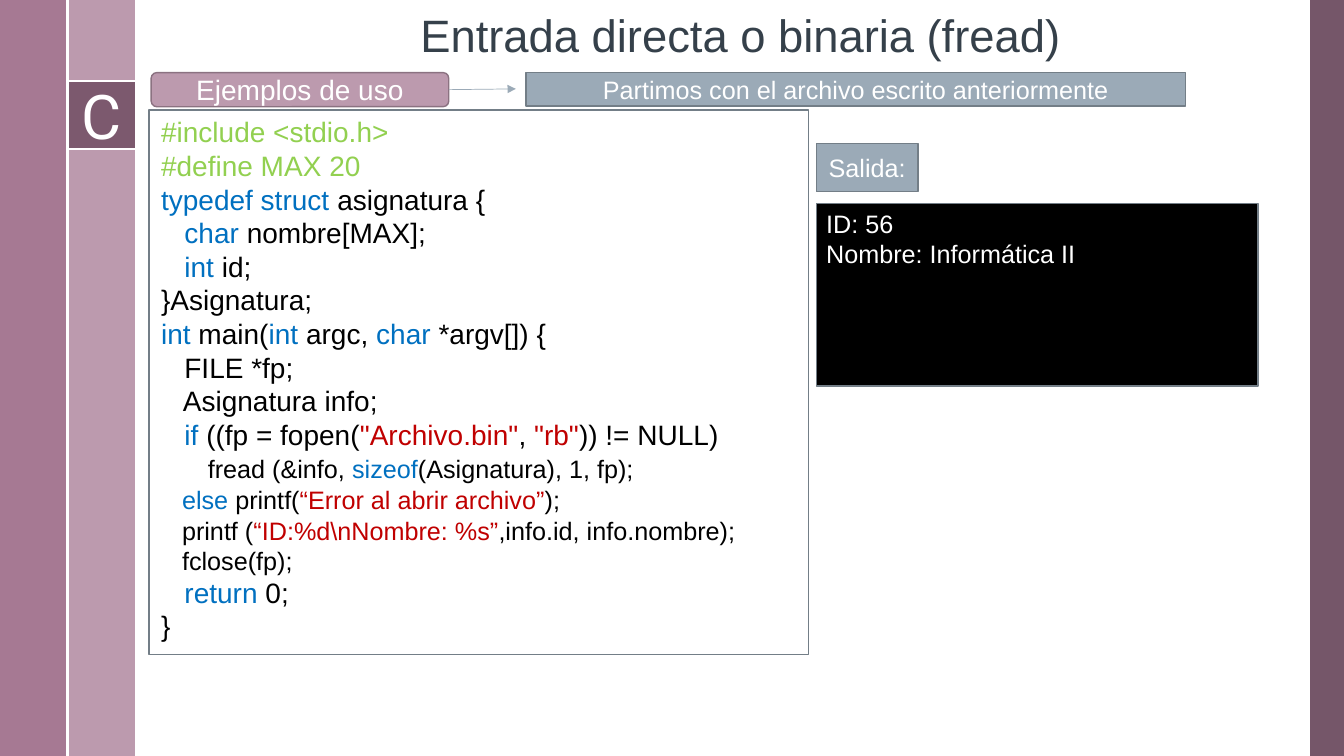
"""Build the slide about binary input with fread."""
import pptx
import pptx.dml.color
import pptx.enum.shapes
import pptx.enum.text
import pptx.oxml
import pptx.oxml.ns
import pptx.util

Cm = pptx.util.Cm
Pt = pptx.util.Pt
SHAPES = pptx.enum.shapes.MSO_SHAPE
ALIGN = pptx.enum.text.PP_ALIGN
ANCHOR = pptx.enum.text.MSO_ANCHOR

COLOURS = {
    "white": "FFFFFF", "black": "000000", "title": "35404A",
    "plum": "674459", "mauve": "9A6785", "pink": "BC9AAE", "pink edge": "8B7281",
    "slate": "9BAAB7", "slate edge": "737E87",
    "directive": "92D050", "keyword": "0070C0", "string": "C00000",
}

WIDTH, HEIGHT = 33.87, 19.05
BAND = 1.7
BADGE_TOP = 2.05

CODE = [
    (20, [("#include <stdio.h>", "directive")]),
    (20, [("#define MAX 20", "directive")]),
    (20, [("typedef struct ", "keyword"), ("asignatura {", "black")]),
    (20, [("   ", "directive"), ("char ", "keyword"), ("nombre[MAX];", "black")]),
    (20, [("   int ", "keyword"), ("id;", "black")]),
    (20, [("}Asignatura;", "black")]),
    (20, [("int ", "keyword"), ("main(", "black"), ("int ", "keyword"),
          ("argc, ", "black"), ("char", "keyword"), (" *argv[]) {", "black")]),
    (20, [("   FILE *fp;", "black")]),
    (20, [("   Asignatura info;", "black")]),
    (20, [("   ", "black"), ("if ", "keyword"), ("((fp = fopen(", "black"),
          ('"Archivo.bin"', "string"), (", ", "black"), ('"rb"', "string"),
          (")) != NULL)", "black")]),
    (18, [("      ", "black", 20), ("fread (&info, ", "black"),
          ("sizeof", "keyword"), ("(Asignatura), 1, fp);", "black")]),
    (18, [("   ", "black"), ("else ", "keyword"), ("printf(", "black"),
          ("“Error al abrir archivo”", "string"), (");", "black")]),
    (18, [("   printf (", "black"), ("“ID:%d\\nNombre: %s”", "string"),
          (",info.id, info.nombre);", "black")]),
    (18, [("   fclose(fp);", "black")]),
    (20, [("   ", "black"), ("return", "keyword"), (" 0;", "black")]),
    (20, [("}", "black")]),
]


class SlideBuilder:
    """Holds the style and the current slide."""

    def __init__(self, slide, font="Arial"):
        self.slide = slide
        self.font = font

    def colour(self, name):
        return pptx.dml.color.RGBColor.from_string(COLOURS[name])

    def fill_text(self, frame, lines, align=ALIGN.LEFT, anchor=ANCHOR.TOP, font=None):
        frame.word_wrap = True
        frame.vertical_anchor = anchor
        for number, (size, runs) in enumerate(lines):
            paragraph = frame.add_paragraph() if number else frame.paragraphs[0]
            paragraph.alignment = align
            for text, colour, *own_size in runs:
                run = paragraph.add_run()
                run.text = text
                run.font.name = font or self.font
                run.font.size = Pt(own_size[0] if own_size else size)
                run.font.color.rgb = self.colour(colour)

    def title(self, box, text):
        title = self.slide.shapes.title
        title.left, title.top, title.width, title.height = map(Cm, box)
        title.text_frame.auto_size = pptx.enum.text.MSO_AUTO_SIZE.NONE
        self.fill_text(title.text_frame, [(32.4, [(text, "title")])],
                       anchor=ANCHOR.BOTTOM)
        title.text_frame.paragraphs[0].line_spacing = 0.9

    def block(self, box, fill=None, edge=None, opacity=100, kind=SHAPES.RECTANGLE):
        block = self.slide.shapes.add_shape(kind, *map(Cm, box))
        block.shadow.inherit = False
        if fill:
            block.fill.solid()
            block.fill.fore_color.rgb = self.colour(fill)
        else:
            block.fill.background()
        if opacity < 100:
            tint = block._element.spPr.find(".//" + pptx.oxml.ns.qn("a:srgbClr"))
            tint.append(pptx.oxml.parse_xml(
                f'<a:alpha {pptx.oxml.ns.nsdecls("a")} val="{opacity * 1000}"/>'))
        if edge:
            block.line.color.rgb = self.colour(edge)
            block.line.width = Pt(1)
        else:
            block.line.fill.background()
        return block

    def label(self, box, text, size, fill, edge=None, font=None, **look):
        label = self.block(box, fill, edge, **look)
        self.fill_text(label.text_frame, [(size, [(text, "white")])],
                       ALIGN.CENTER, ANCHOR.MIDDLE, font)

    def line(self, ends, colour, width, arrow=False):
        line = self.slide.shapes.add_connector(
            pptx.enum.shapes.MSO_CONNECTOR.STRAIGHT, *map(Cm, ends))
        line.line.color.rgb = self.colour(colour)
        line.line.width = Pt(width)
        properties = line._element.spPr
        namespace = pptx.oxml.ns.nsdecls("a")
        if arrow:
            properties.find(pptx.oxml.ns.qn("a:ln")).append(
                pptx.oxml.parse_xml(f'<a:tailEnd {namespace} type="triangle"/>'))
        properties.append(pptx.oxml.parse_xml(f"<a:effectLst {namespace}/>"))

    def text(self, box, lines):
        text = self.slide.shapes.add_textbox(*map(Cm, box))
        self.fill_text(text.text_frame, lines)


def main():
    deck = pptx.Presentation()
    deck.slide_width, deck.slide_height = Cm(WIDTH), Cm(HEIGHT)
    builder = SlideBuilder(deck.slides.add_slide(deck.slide_layouts[5]))

    builder.block((33.02, 0, 0.85, HEIGHT), "plum", opacity=90)
    builder.block((BAND, 0, BAND, HEIGHT), "pink")
    builder.block((0, 0, BAND, HEIGHT), "mauve", opacity=88)
    builder.label((BAND, BADGE_TOP, BAND, BAND), "C", 44, "plum",
                  font="Roboto", opacity=75)
    for y in (BADGE_TOP, BADGE_TOP + BAND):
        builder.line((BAND, y, 2 * BAND, y), "white", 1.5)
    builder.line((BAND, 0, BAND, HEIGHT), "white", 1.5)

    builder.title((10.34, 0.15, 17.15, 1.55), "Entrada directa o binaria (fread)")
    builder.block((3.76, 2.77, 16.61, 13.72), edge="slate edge")
    builder.label((3.81, 1.83, 7.5, 0.86), "Ejemplos de uso", 20, "pink",
                  "pink edge", kind=SHAPES.ROUNDED_RECTANGLE)
    builder.line((11.31, 2.26, 13, 2.24), "slate", 0.5, arrow=True)
    builder.label((13.26, 1.83, 16.61, 0.84),
                  "Partimos con el archivo escrito anteriormente", 18,
                  "slate", "slate edge")

    builder.label((20.57, 3.61, 2.57, 1.22), "Salida:", 18, "slate", "slate edge")
    console = builder.block((20.57, 5.13, 11.13, 4.6), "black", "slate edge")
    builder.fill_text(console.text_frame, [
        (18, [(line, "white")]) for line in ("ID: 56", "Nombre: Informática II")])
    builder.text((3.81, 2.77, 17.15, 14.53), CODE)

    deck.save("out.pptx")


if __name__ == "__main__":
    main()
